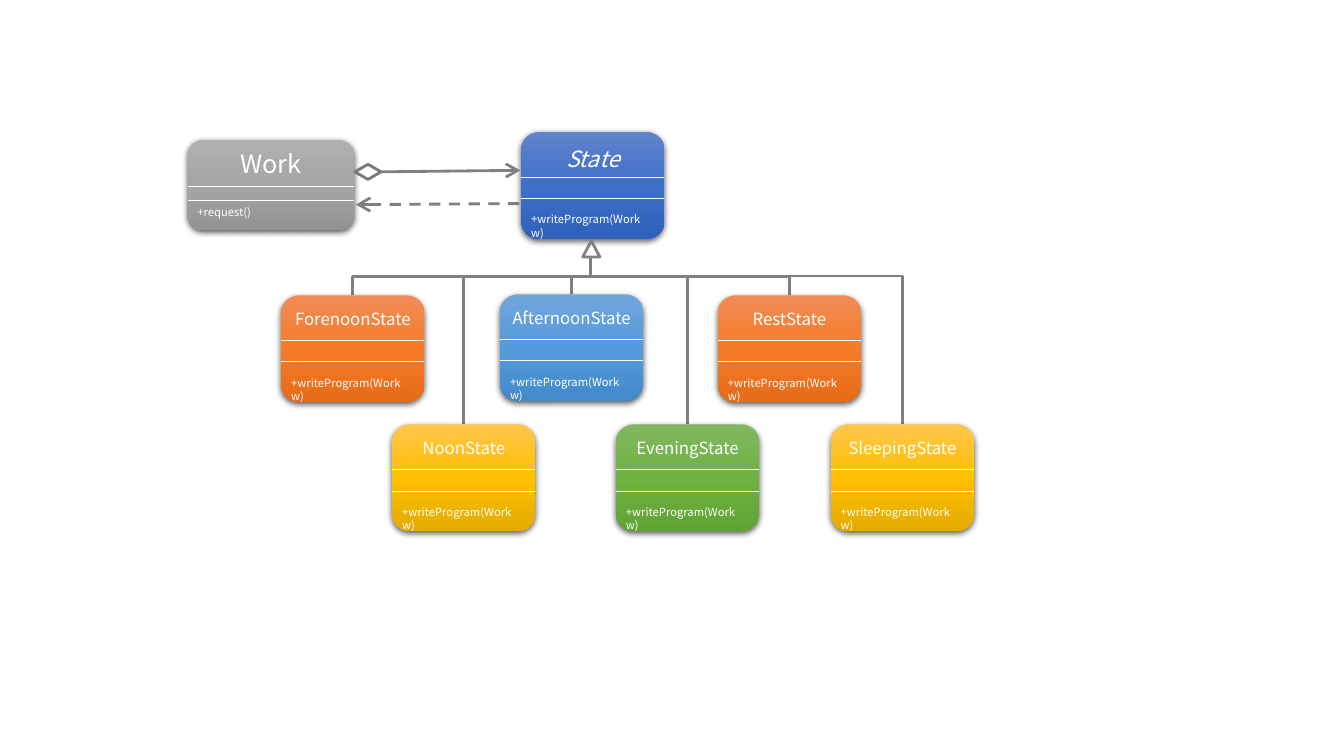
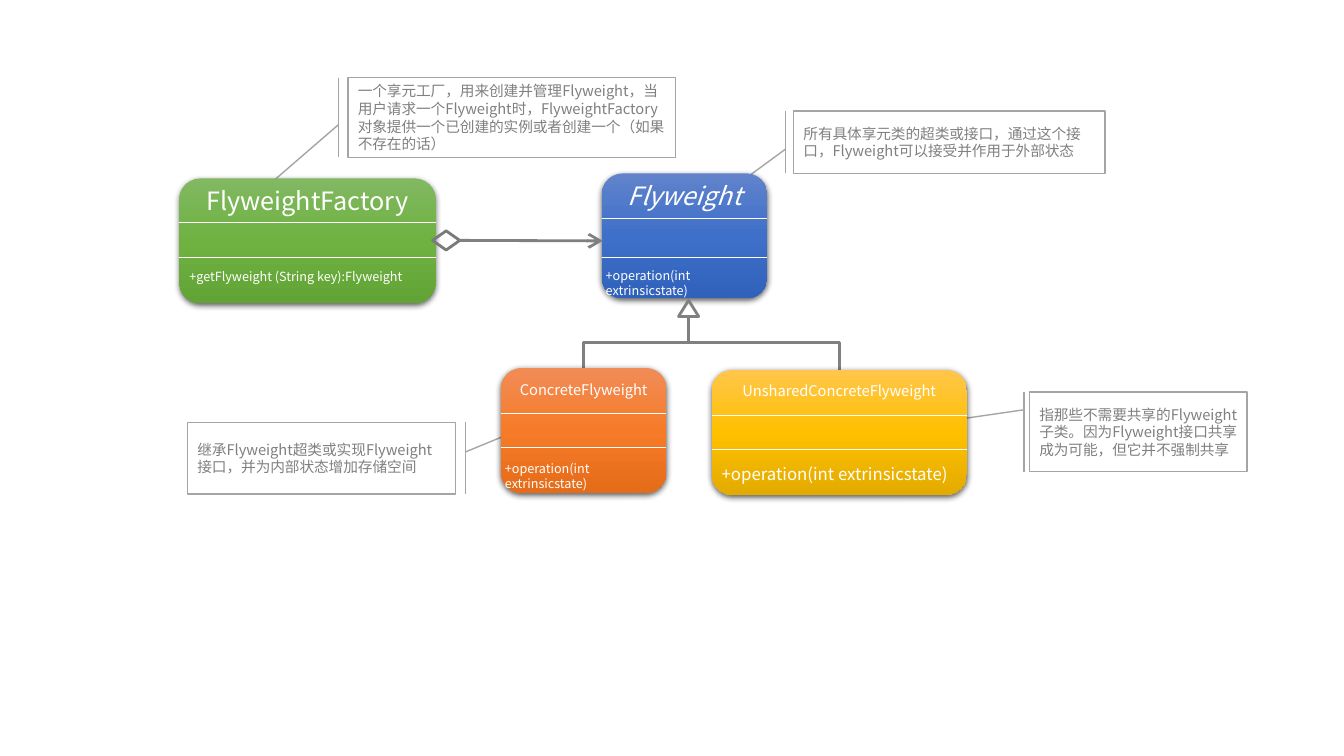
from dataclasses import dataclass

from lxml.etree import SubElement
from copy import deepcopy
from pptx import Presentation
from pptx.dml.color import RGBColor
from pptx.enum.dml import MSO_LINE
from pptx.enum.shapes import MSO_CONNECTOR as Link, MSO_SHAPE as Preset
from pptx.enum.text import MSO_ANCHOR, MSO_AUTO_SIZE, PP_ALIGN
from pptx.oxml.ns import qn
from pptx.util import Inches, Pt


@dataclass(frozen=True)
class Theme:
    font: str = "Noto Sans CJK SC"
    white: str = "FFFFFF"
    link: str = "808080"
    diamond: str = "7A7A7A"
    border: str = "A5A5A5"
    blue: tuple = ("6183CB", "3E70CA", "3062BB")
    orange: tuple = ("F18C57", "F67B28", "E56C19")
    sky: tuple = ("71A6DB", "559BDB", "448ACA")
    gray: tuple = ("AFAFAF", "A5A5A5", "939393")
    gold: tuple = ("FFC64B", "FFC000", "E3AB00")
    green: tuple = ("81B861", "6FB242", "62A336")
    large: float = 18
    medium: float = 16
    normal: float = 12
    note: float = 10.5
    method: float = 9
    small: float = 8
    link_width: float = 2
    border_width: float = 1
    rule_width: float = 0.5


THEME = Theme()

# State pattern: tops are title, two rules and method, measured from the box top
STATE_SIZE = (1.42, 1.06)
STATE_TOPS = (0.08, 0.45, 0.66, 0.75)
WRITE = "+writeProgram(Work w)"
WORK = dict(name="Work", at=(1.86, 1.39), size=(1.65, 0.89), colours=THEME.gray,
            method="+request()", tops=(0.03, 0.46, 0.6, 0.6), name_size=THEME.large)
STATE = dict(name="State", at=(5.17, 1.31), colours=THEME.blue,
             name_size=THEME.medium, italic=True)
STATES = [
    dict(name="ForenoonState", at=(2.79, 2.93), colours=THEME.orange),
    dict(name="AfternoonState", at=(4.96, 2.92), colours=THEME.sky),
    dict(name="RestState", at=(7.12, 2.93), colours=THEME.orange),
    dict(name="NoonState", at=(3.89, 4.21), colours=THEME.gold),
    dict(name="EveningState", at=(6.11, 4.21), colours=THEME.green),
    dict(name="SleepingState", at=(8.24, 4.21), colours=THEME.gold),
]

# Flyweight pattern
OPERATION = "+operation(int extrinsicstate)"
FACTORY = dict(name="FlyweightFactory", at=(1.78, 1.77), size=(2.54, 1.24),
               colours=THEME.green, method="+getFlyweight (String key):Flyweight",
               tops=(0.02, 0.44, 0.78, 0.85), name_size=THEME.large,
               method_size=THEME.method)
FLYWEIGHT = dict(name="Flyweight", at=(5.97, 1.72), size=(1.64, 1.24),
                 colours=THEME.blue, method=OPERATION, tops=(0.02, 0.45, 0.83, 0.89),
                 name_size=THEME.large, method_size=THEME.method, italic=True,
                 overhang=0.06)
FLYWEIGHTS = [
    dict(name="ConcreteFlyweight", at=(4.97, 3.65), size=(1.64, 1.24),
         colours=THEME.orange, method=OPERATION, tops=(0.08, 0.45, 0.79, 0.87),
         name_size=THEME.note, method_size=THEME.method, overhang=0.06),
    dict(name="UnsharedConcreteFlyweight", at=(7.06, 3.67), size=(2.53, 1.24),
         colours=THEME.gold, method=OPERATION, tops=(0.07, 0.45, 0.79, 0.88),
         name_size=THEME.note, method_size=THEME.normal),
]
# Text, place, callout line from (y, x) to (y, x) as shares of the box
CALLOUTS = [
    ("指那些不需要共享的Flyweight子类。因为Flyweight接口共享成为可能，但它并不强制共享",
     (10.21, 3.89, 2.16, 0.79), (0.222, -0.025, 0.362, -0.378)),
    ("所有具体享元类的超类或接口，通过这个接口，Flyweight可以接受并作用于外部状态",
     (7.87, 1.1, 3.09, 0.62), (0.613, -0.026, 1.4, -0.241)),
    ("继承Flyweight超类或实现Flyweight接口，并为内部状态增加存储空间",
     (1.86, 4.19, 2.66, 0.71), (0.413, 1.037, -0.432, 1.585)),
    ("一个享元工厂，用来创建并管理Flyweight，当用户请求一个Flyweight时，"
     "FlyweightFactory对象提供一个已创建的实例或者创建一个（如果不存在的话）",
     (3.45, 0.77, 3.25, 0.79), (0.588, -0.028, 1.502, -0.285)),
]


def rgb(value):
    return RGBColor.from_string(value)


def write(shape, text, size, colour=THEME.white, italic=False,
          align=PP_ALIGN.LEFT, anchor=MSO_ANCHOR.TOP):
    frame = shape.text_frame
    frame.word_wrap = True
    frame.vertical_anchor = anchor
    paragraph = frame.paragraphs[0]
    paragraph.alignment = align
    run = paragraph.add_run()
    run.text = text
    font = run.font
    font.name, font.size, font.italic = THEME.font, Pt(size), italic
    font.color.rgb = rgb(colour)
    SubElement(run._r.rPr, qn("a:ea")).set("typeface", THEME.font)


def add_label(shapes, at, text, size, **style):
    box = shapes.add_textbox(*map(Inches, at))
    write(box, text, size, **style)
    box.text_frame.auto_size = MSO_AUTO_SIZE.SHAPE_TO_FIT_TEXT


def add_line(shapes, start, end, colour=THEME.link, width=THEME.link_width,
             kind=Link.STRAIGHT):
    line = shapes.add_connector(kind, *map(Inches, (*start, *end)))
    line.line.color.rgb = rgb(colour)
    line.line.width = Pt(width)
    SubElement(line._element.spPr, qn("a:effectLst"))
    return line


def add_arrow(shapes, start, end, dashed=False, source=None):
    arrow = add_line(shapes, start, end)
    if dashed:
        arrow.line.dash_style = MSO_LINE.DASH
    if source is not None:
        arrow.begin_connect(source, 3)
    head = SubElement(arrow.line._get_or_add_ln(), qn("a:tailEnd"))
    for key, value in (("type", "arrow"), ("w", "lg"), ("len", "lg")):
        head.set(key, value)


def add_outline(shapes, preset, at, colour=THEME.link):
    shape = shapes.add_shape(preset, *map(Inches, at))
    shape.shadow.inherit = False
    shape.fill.background()
    shape.line.color.rgb = rgb(colour)
    shape.line.width = Pt(THEME.link_width)
    return shape


def add_callout(shapes, text, at, pointer):
    callout = add_outline(shapes, Preset.LINE_CALLOUT_1_BORDER_AND_ACCENT_BAR, at,
                          THEME.border)
    callout.line.width = Pt(THEME.border_width)
    callout.fill.solid()
    callout.fill.fore_color.rgb = rgb(THEME.white)
    for index, value in enumerate(pointer):
        callout.adjustments[index] = value
    write(callout, text, THEME.note, colour=THEME.link, anchor=MSO_ANCHOR.MIDDLE)


def add_card(shapes, at, size, colours):
    """Rounded card with a three-stop gradient and a soft shadow."""
    card = shapes.add_shape(Preset.ROUNDED_RECTANGLE, *map(Inches, (*at, *size)))
    card.line.fill.background()
    card.fill.gradient()
    card.fill.gradient_angle = 270
    properties = card._element.spPr
    stops = properties.find(".//" + qn("a:gsLst"))
    stops.append(deepcopy(stops[0]))
    for index, stop in enumerate(card.fill.gradient_stops):
        stop.position = index / 2
        stop.color.rgb = rgb(colours[index])
    card.shadow.inherit = False
    shadow = SubElement(properties.find(qn("a:effectLst")), qn("a:outerShdw"),
                        blurRad=str(Pt(4.5)), dist=str(Pt(1.5)), dir="5400000",
                        algn="ctr", rotWithShape="0")
    black = SubElement(shadow, qn("a:srgbClr"), val="000000")
    SubElement(black, qn("a:alpha"), val="63000")


def add_class(slide, name, at, colours, size=STATE_SIZE, method=WRITE, tops=STATE_TOPS,
              name_size=THEME.normal, method_size=THEME.small, italic=False, overhang=0):
    shapes = slide.shapes.add_group_shape().shapes
    (left, top), (width, height) = at, size
    name_top, *rules, method_top = (top + offset for offset in tops)
    add_card(shapes, at, size, colours)
    for y in rules:
        add_line(shapes, (left, y), (left + width, y), THEME.white, THEME.rule_width)
    add_label(shapes, (left, name_top, width, 0.3), name, name_size,
              italic=italic, align=PP_ALIGN.CENTER)
    add_label(shapes, (left - overhang, method_top, width + 2 * overhang, 0.24),
              method, method_size)


def add_branch(shapes, child, hub, bend):
    """Elbow that rises from the child's top, crosses at bend and rises to the hub."""
    left, y = child["at"]
    x = left + child.get("size", STATE_SIZE)[0] / 2
    hub_x, hub_y = hub
    rise, run = y - hub_y, abs(x - hub_x)
    middle_x, middle_y = (x + hub_x) / 2, (y + hub_y) / 2
    elbow = add_line(shapes, (middle_x - rise / 2, middle_y - run / 2),
                     (middle_x + rise / 2, middle_y + run / 2), kind=Link.ELBOW)
    transform = elbow._element.spPr.xfrm
    from_left = x < hub_x
    transform.rot = 90 if from_left else 270
    transform.flipH, transform.flipV = from_left, True
    guides = elbow._element.spPr.prstGeom.get_or_add_avLst()
    share = round((y - bend) / rise * 100000)
    SubElement(guides, qn("a:gd"), name="adj1", fmla=f"val {share}")


def add_family(slide, parent, children, triangle, hub, bend):
    """Parent class, its subclasses and the inheritance lines between them."""
    for child in children:
        add_branch(slide.shapes, child, hub, bend)
    for item in (parent, *children):
        add_class(slide, **item)
    add_outline(slide.shapes, Preset.ISOSCELES_TRIANGLE, triangle)


def build_state(slide):
    add_family(slide, STATE, STATES, (5.78, 2.39, 0.17, 0.16), (5.86, 2.55), 2.74)
    add_class(slide, **WORK)
    diamond = add_outline(slide.shapes, Preset.DIAMOND, (3.52, 1.63, 0.26, 0.15),
                          THEME.diamond)
    add_arrow(slide.shapes, (3.78, 1.7), (5.16, 1.69), source=diamond)
    add_arrow(slide.shapes, (5.15, 2.02), (3.53, 2.03), dashed=True)


def build_flyweight(slide):
    for callout in CALLOUTS:
        add_callout(slide.shapes, *callout)
    add_family(slide, FLYWEIGHT, FLYWEIGHTS, (6.73, 2.98, 0.2, 0.16), (6.83, 3.14), 3.4)
    add_class(slide, **FACTORY)
    diamond = add_outline(slide.shapes, Preset.DIAMOND, (4.29, 2.29, 0.27, 0.19),
                          THEME.diamond)
    add_arrow(slide.shapes, (4.56, 2.39), (5.98, 2.39), source=diamond)


def main():
    presentation = Presentation()
    presentation.slide_width, presentation.slide_height = Inches(13.33), Inches(7.5)
    blank = presentation.slide_layouts[6]
    for build in (build_state, build_flyweight):
        build(presentation.slides.add_slide(blank))
    presentation.save("out.pptx")


if __name__ == "__main__":
    main()
